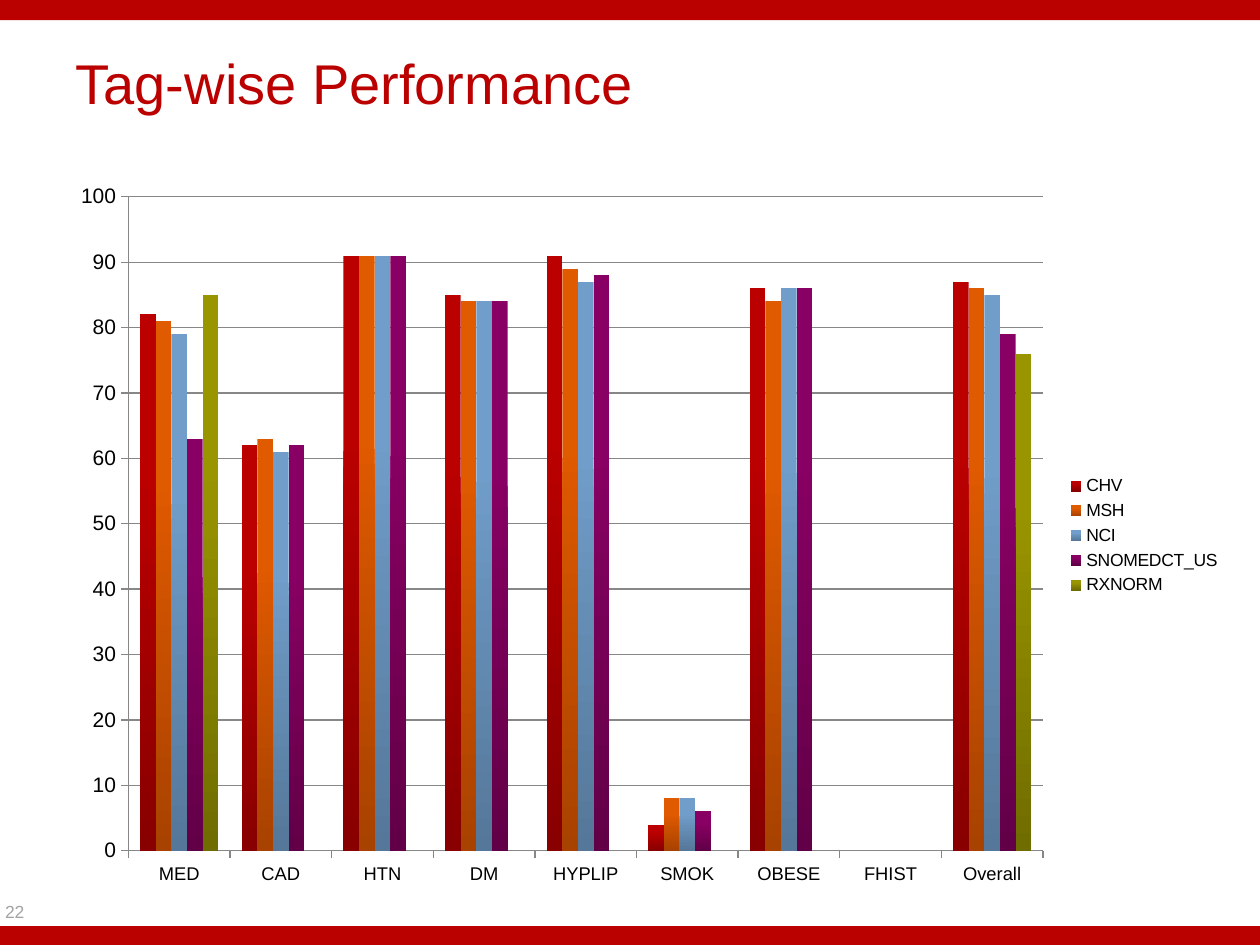
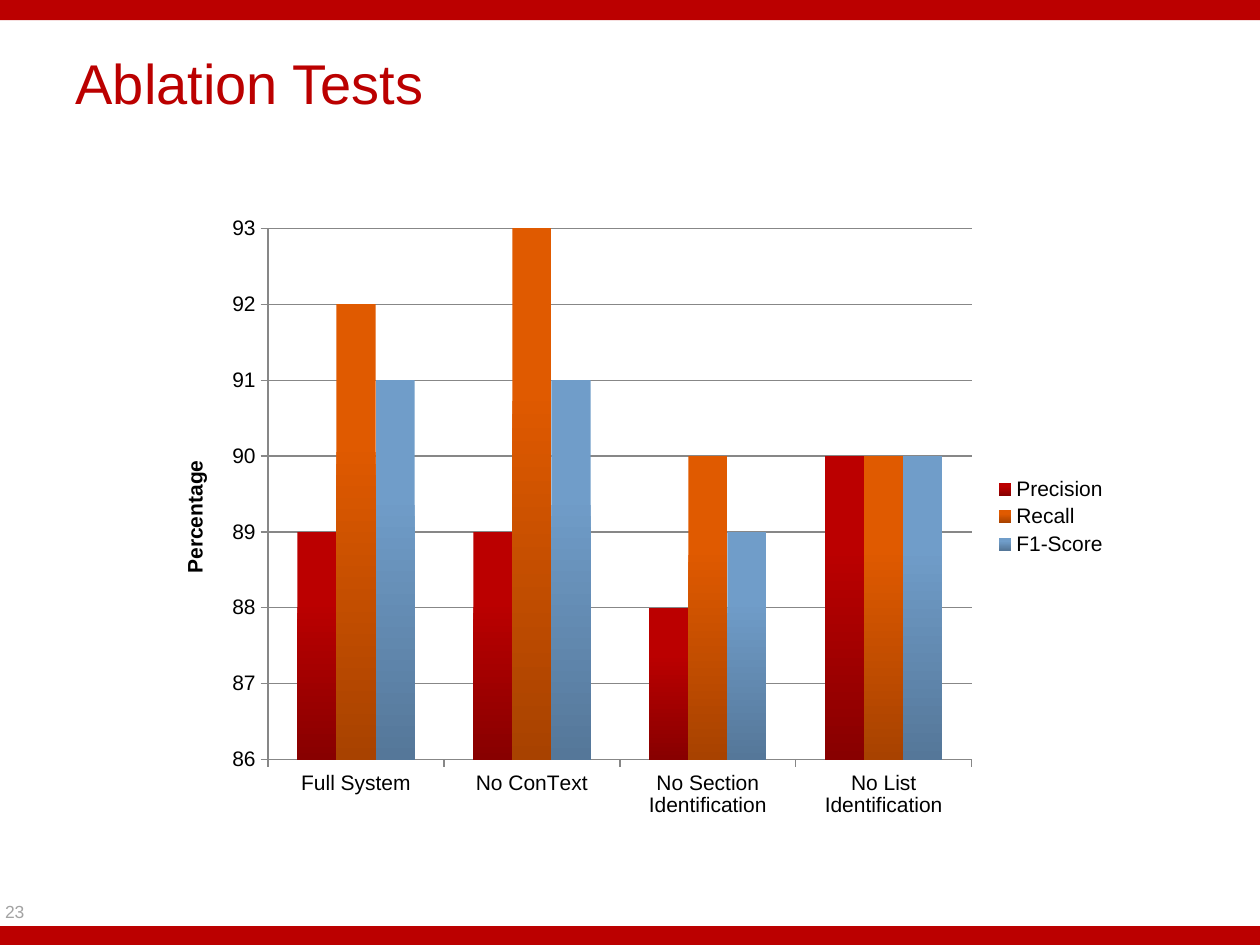
from pptx import Presentation
from pptx.chart.data import CategoryChartData
from pptx.dml.color import RGBColor
from pptx.enum.chart import XL_CHART_TYPE, XL_LEGEND_POSITION, XL_TICK_MARK
from pptx.enum.shapes import MSO_SHAPE
from pptx.enum.text import MSO_ANCHOR, MSO_AUTO_SIZE, PP_ALIGN
from pptx.oxml import parse_xml
from pptx.oxml.ns import nsdecls
from pptx.util import Inches, Pt

FONT = "Arial"
RED = RGBColor(0xBB, 0x00, 0x00)
BLACK = RGBColor(0x00, 0x00, 0x00)
GREY = RGBColor(0xA3, 0xA3, 0xA3)
AXIS_GREY = RGBColor(0x87, 0x87, 0x87)

# Upper and lower colour of the columns, in series order
SERIES_COLORS = [
    (RED, RGBColor(0x88, 0x00, 0x00)),
    (RGBColor(0xE0, 0x5A, 0x00), RGBColor(0xA8, 0x42, 0x00)),
    (RGBColor(0x70, 0x9D, 0xC9), RGBColor(0x55, 0x77, 0x99)),
    (RGBColor(0x88, 0x00, 0x63), RGBColor(0x62, 0x00, 0x47)),
    (RGBColor(0x99, 0x95, 0x00), RGBColor(0x70, 0x6D, 0x00)),
]

TAG_CHART = {
    "box": (0.46, 1.36, 9.33, 5.78),
    "plot": (0.06, 0.035, 0.778, 0.898),
    "scale": (0, 100, 10),
    "sizes": {"category": 10.5, "value": 12, "legend": 10},
    "categories": ["MED", "CAD", "HTN", "DM", "HYPLIP", "SMOK", "OBESE",
                   "FHIST", "Overall"],
    "series": {
        "CHV": [82, 62, 91, 85, 91, 4, 86, 0, 87],
        "MSH": [81, 63, 91, 84, 89, 8, 84, 0, 86],
        "NCI": [79, 61, 91, 84, 87, 8, 86, 0, 85],
        "SNOMEDCT_US": [63, 62, 91, 84, 88, 6, 86, 0, 79],
        "RXNORM": [85, 0, 0, 0, 0, 0, 0, 0, 76],
    },
}
ABLATION_CHART = {
    "box": (1.24, 1.62, 7.65, 4.96),
    "plot": (0.116, 0.039, 0.73, 0.85),
    "scale": (86, 93, 1),
    "sizes": {"category": 12, "value": 12, "legend": 12},
    "value_title": "Percentage",
    "categories": ["Full System", "No ConText", "No Section Identification",
                   "No List Identification"],
    "series": {
        "Precision": [89, 89, 88, 90],
        "Recall": [92, 93, 90, 90],
        "F1-Score": [91, 91, 89, 90],
    },
}


def set_attrs(obj, **values):
    for name, value in values.items():
        setattr(obj, name, value)


def set_font(font, size, color=BLACK, bold=False):
    set_attrs(font, name=FONT, size=Pt(size), bold=bold)
    font.color.rgb = color


def add_band(slide, top):
    band = slide.shapes.add_shape(MSO_SHAPE.RECTANGLE, 0, Inches(top),
                                  Inches(10), Inches(0.16))
    band.shadow.inherit = False
    band.fill.solid()
    band.fill.fore_color.rgb = RED
    band.line.fill.background()


def add_title(slide, text):
    title = slide.shapes.title
    set_attrs(title, left=Inches(0.5), top=Inches(0.26),
              width=Inches(9), height=Inches(0.87))
    tf = title.text_frame
    set_attrs(tf, text=text, auto_size=MSO_AUTO_SIZE.NONE,
              vertical_anchor=MSO_ANCHOR.MIDDLE)
    p = tf.paragraphs[0]
    set_attrs(p, alignment=PP_ALIGN.LEFT, line_spacing=0.85)
    set_font(p.runs[0].font, 32, RED)


def add_page_number(slide, number):
    tf = slide.shapes.add_textbox(Inches(0.04), Inches(7.06), Inches(0.53),
                                  Inches(0.26)).text_frame
    set_attrs(tf, text=str(number), word_wrap=True,
              vertical_anchor=MSO_ANCHOR.BOTTOM, margin_left=0, margin_top=0,
              margin_right=0, margin_bottom=0)
    set_font(tf.paragraphs[0].runs[0].font, 10, GREY)


def place_plot(chart, plot_box):
    """Fix the inner plot area, in fractions of the chart."""
    places = "".join(f'<c:{tag} val="{val}"/>'
                     for tag, val in zip("xywh", plot_box))
    layout = parse_xml(
        f'<c:layout {nsdecls("c")}><c:manualLayout>'
        '<c:layoutTarget val="inner"/><c:xMode val="edge"/>'
        f'<c:yMode val="edge"/>{places}</c:manualLayout></c:layout>')
    plot_area = chart.plots[0]._element.getparent()
    for old in plot_area.findall(layout.tag):
        plot_area.remove(old)
    plot_area.insert(0, layout)


def format_axis(axis, size):
    set_attrs(axis, major_tick_mark=XL_TICK_MARK.OUTSIDE,
              minor_tick_mark=XL_TICK_MARK.NONE)
    set_font(axis.tick_labels.font, size)
    axis.format.line.color.rgb = AXIS_GREY


def add_column_chart(slide, spec_values):
    data = CategoryChartData(number_format="0")
    data.categories = spec_values["categories"]
    for name, values in spec_values["series"].items():
        data.add_series(name, values)
    chart = slide.shapes.add_chart(XL_CHART_TYPE.COLUMN_CLUSTERED,
                                   *map(Inches, spec_values["box"]), data).chart
    set_attrs(chart, has_title=False, has_legend=True)
    set_font(chart.font, 10)
    sizes = spec_values["sizes"]

    # Columns
    plot = chart.plots[0]
    set_attrs(plot, gap_width=150, overlap=0, vary_by_categories=False)
    for series, colors in zip(plot.series, SERIES_COLORS):
        fill = series.format.fill
        fill.gradient()
        fill.gradient_angle = 270
        for stop, color, position in zip(fill.gradient_stops, colors, (0.3, 1)):
            stop.color.rgb = color
            stop.position = position

    # Axes
    format_axis(chart.category_axis, sizes["category"])
    axis = chart.value_axis
    format_axis(axis, sizes["value"])
    low, high, step = spec_values["scale"]
    set_attrs(axis, minimum_scale=low, maximum_scale=high, major_unit=step,
              has_major_gridlines=True)
    axis.major_gridlines.format.line.color.rgb = AXIS_GREY
    if "value_title" in spec_values:
        tf = axis.axis_title.text_frame
        tf.text = spec_values["value_title"]
        set_font(tf.paragraphs[0].runs[0].font, 12, bold=True)

    # Legend
    set_attrs(chart.legend, position=XL_LEGEND_POSITION.RIGHT,
              include_in_layout=False)
    set_font(chart.legend.font, sizes["legend"])
    place_plot(chart, spec_values["plot"])


def add_chart_slide(prs, title, number, chart_values):
    slide = prs.slides.add_slide(prs.slide_layouts.get_by_name("Title Only"))
    for top in (0, 7.35):
        add_band(slide, top)
    add_title(slide, title)
    add_page_number(slide, number)
    add_column_chart(slide, chart_values)


def main():
    prs = Presentation()
    set_attrs(prs, slide_width=Inches(10), slide_height=Inches(7.5))
    add_chart_slide(prs, "Tag-wise Performance", 22, TAG_CHART)
    add_chart_slide(prs, "Ablation Tests", 23, ABLATION_CHART)
    prs.save("out.pptx")


if __name__ == "__main__":
    main()
